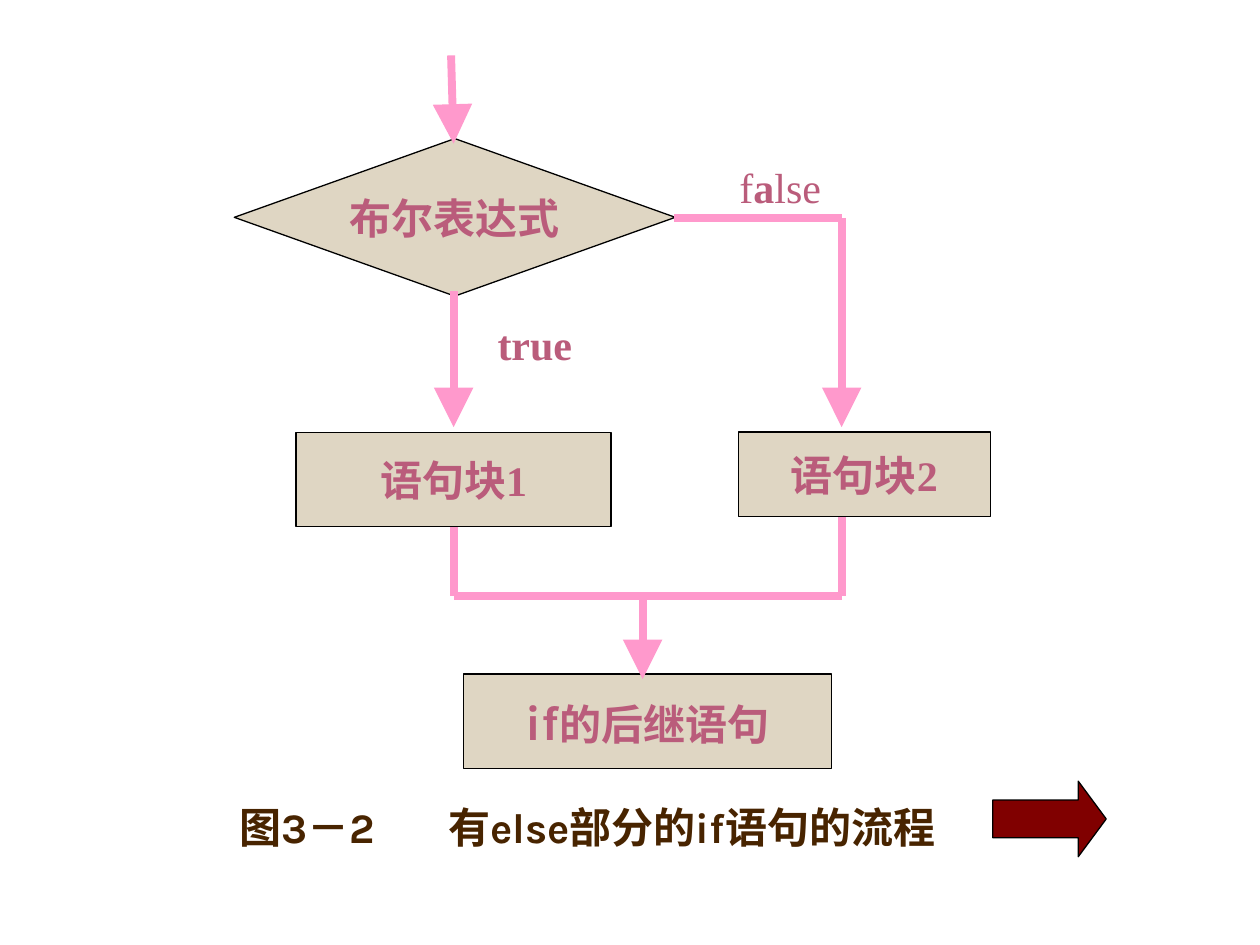
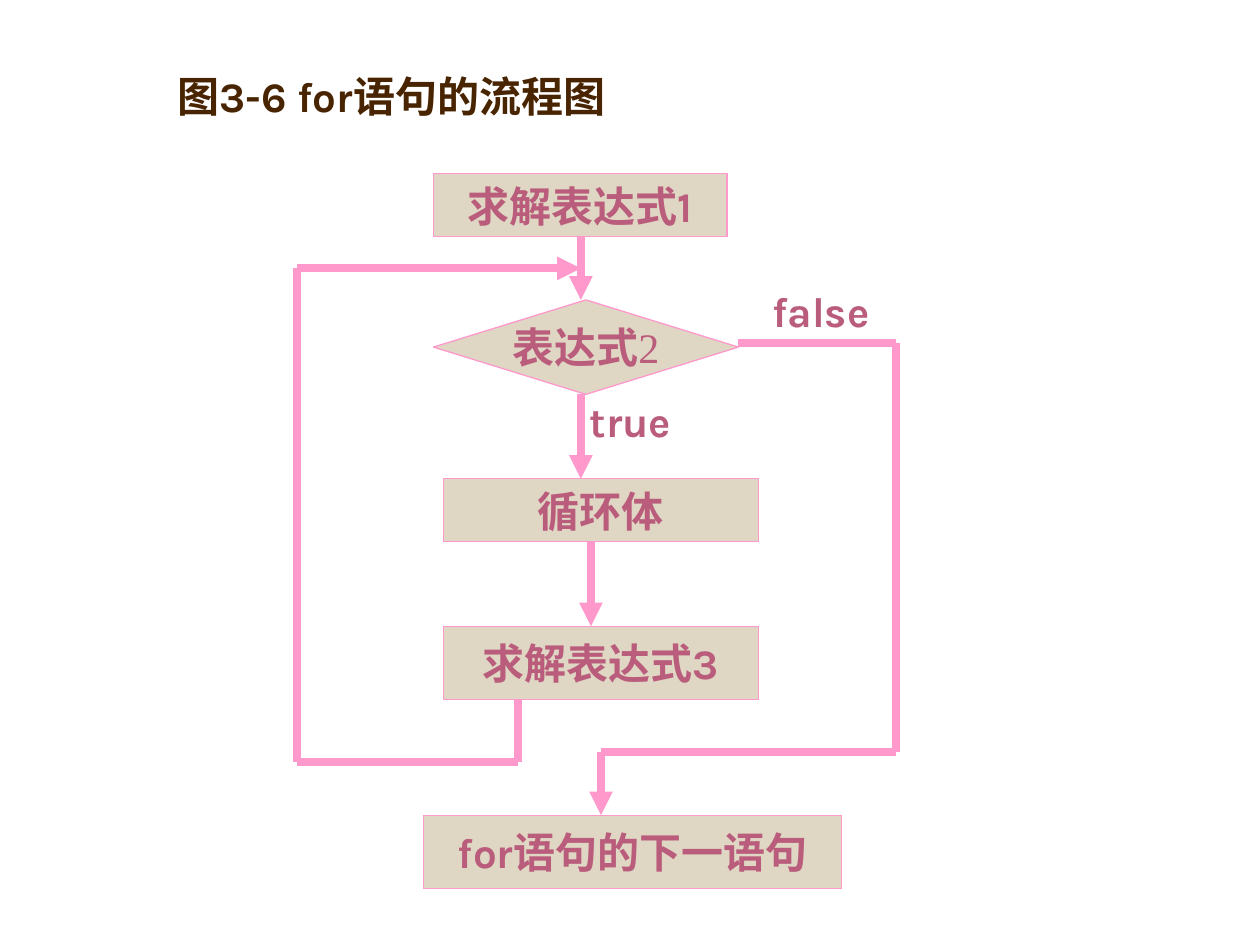
from dataclasses import dataclass
from itertools import pairwise

from lxml import etree
from pptx import Presentation
from pptx.dml.color import RGBColor
from pptx.enum.shapes import MSO_CONNECTOR, MSO_SHAPE
from pptx.enum.text import MSO_ANCHOR, MSO_AUTO_SIZE, PP_ALIGN
from pptx.oxml.ns import qn
from pptx.util import Inches, Pt

BEIGE = RGBColor(0xDF, 0xD6, 0xC3)
PINK = RGBColor(0xFF, 0x99, 0xCC)
ROSE = RGBColor(0xBA, 0x5C, 0x7B)
BROWN = RGBColor(0x48, 0x24, 0x00)
MAROON = RGBColor(0x80, 0x00, 0x00)
BLACK = RGBColor(0x00, 0x00, 0x00)

SANS = "Karla"
SERIF = "Times New Roman"
BOX = MSO_SHAPE.RECTANGLE
DECISION = MSO_SHAPE.FLOWCHART_DECISION


@dataclass
class Span:
    text: str
    font: str = SANS
    size: int = 24
    bold: bool = True


def style_font(font, span, color):
    font.name, font.size, font.bold = span.font, Pt(span.size), span.bold
    font.color.rgb = color


def write(p, spans, color):
    for span in spans:
        r = p.add_run()
        r.text = span.text
        if len(spans) > 1:
            style_font(r.font, span, color)
    if len(spans) == 1:
        style_font(p.font, spans[0], color)


def add_filled(slide, kind, box, fill, border):
    sp = slide.shapes.add_shape(kind, *map(Inches, box))
    sp.shadow.inherit = False
    sp.fill.solid()
    sp.fill.fore_color.rgb = fill
    sp.line.color.rgb = border
    sp.line.width = Pt(0.75)
    return sp


def add_title(slide, box, text, tab=None):
    tf = slide.shapes.add_textbox(*map(Inches, box)).text_frame
    tf.word_wrap = True
    tf.vertical_anchor = MSO_ANCHOR.BOTTOM
    p = tf.paragraphs[0]
    if tab:
        tabs = etree.SubElement(p._p.get_or_add_pPr(), qn("a:tabLst"))
        etree.SubElement(tabs, qn("a:tab"), pos=str(Inches(tab)), algn="l")
    write(p, [Span(text)], BROWN)


@dataclass
class Flowchart:
    """Draws flowchart parts at positions relative to its top left corner."""
    slide: object
    left: float
    top: float
    border: RGBColor
    head: str

    def place(self, x, y):
        return self.left + x, self.top + y

    def node(self, kind, x, y, w, h, *spans):
        box = (*self.place(x, y), w, h)
        tf = add_filled(self.slide, kind, box, BEIGE, self.border).text_frame
        tf.word_wrap = False
        tf.vertical_anchor = MSO_ANCHOR.MIDDLE
        p = tf.paragraphs[0]
        p.alignment = PP_ALIGN.CENTER
        write(p, spans, ROSE)

    def label(self, x, y, w, *spans):
        box = (*self.place(x, y), w, 0.5)
        tf = self.slide.shapes.add_textbox(*map(Inches, box)).text_frame
        tf.word_wrap = False
        tf.auto_size = MSO_AUTO_SIZE.SHAPE_TO_FIT_TEXT
        write(tf.paragraphs[0], spans, ROSE)

    def route(self, *points, arrow=True):
        """Joins the points with straight lines, the last one with an arrowhead."""
        for start, end in pairwise(points):
            ends = (*self.place(*start), *self.place(*end))
            line = self.slide.shapes.add_connector(
                MSO_CONNECTOR.STRAIGHT, *map(Inches, ends))
            line.line.color.rgb = PINK
            line.line.width = Pt(4.5)
            etree.SubElement(line._element.spPr, qn("a:effectLst"))
        if arrow:
            etree.SubElement(line.line._get_or_add_ln(), qn("a:tailEnd"),
                             type="triangle", w=self.head, len=self.head)


def if_else_slide(slide):
    chart = Flowchart(slide, 1.86, 0.44, BLACK, "lg")
    true_x, false_x, next_x = 1.74, 4.82, 3.24
    branch_y, block_y, join_y = 1.29, 2.99, 4.29

    chart.node(DECISION, 0, 0.66, 3.5, 1.25, Span("布尔表达式", SERIF))
    chart.node(BOX, 1.82, 4.91, 2.92, 0.75,
               Span("if", size=28), Span("的后继语句", SERIF))
    chart.route((1.72, 0), (true_x, 0.7))
    chart.route((true_x, 1.87), (true_x, block_y - 0.04))
    chart.route((3.49, branch_y), (false_x, branch_y), (false_x, block_y - 0.04))
    chart.route((true_x, 3.7), (true_x, join_y), (false_x, join_y),
                (false_x, 3.62), arrow=False)
    chart.route((next_x, join_y), (next_x, 4.95))
    chart.label(3.91, 0.79, 0.85, Span("f", SERIF, bold=False),
                Span("a", SERIF), Span("lse", SERIF, bold=False))
    chart.label(1.99, 2.04, 0.79, Span("true", SERIF))
    chart.node(BOX, 0.49, block_y, 2.5, 0.75, Span("语句块1", SERIF))
    chart.node(BOX, 4, block_y, 2, 0.67, Span("语句块2", SERIF))

    add_title(slide, (1.8, 6.31, 6.42, 0.5),
              "图3－2\t有else部分的if语句的流程", tab=1.66)
    arrow = add_filled(slide, MSO_SHAPE.RIGHT_ARROW, (7.88, 6.2, 0.9, 0.6),
                       MAROON, BLACK)
    arrow.adjustments[1] = 0.37


def for_slide(slide):
    chart = Flowchart(slide, 2.36, 1.38, PINK, "med")
    test_x, body_x, exit_x, next_x, loop_x = 2.25, 2.33, 4.75, 2.41, 1.75
    test_y, exit_y, back_y, loop_y = 1.34, 4.59, 4.67, 0.75

    chart.node(BOX, 1.08, 0, 2.33, 0.5, Span("求解表达式1"))
    chart.node(DECISION, 1.08, 1, 2.42, 0.75,
               Span("表达式", SERIF), Span("2", SERIF, bold=False))
    chart.node(BOX, 1.16, 2.42, 2.5, 0.5, Span("循环体", SERIF))
    chart.node(BOX, 1.16, 3.59, 2.5, 0.58, Span("求解表达式3"))
    chart.node(BOX, 1, 5.09, 3.32, 0.58, Span("for语句的下一语句"))
    for x, y1, y2 in ((test_x, 0.5, 1), (test_x, 1.75, 2.42), (body_x, 2.92, 3.59)):
        chart.route((x, y1), (x, y2))
    chart.route((3.5, test_y), (exit_x, test_y), (exit_x, exit_y),
                (next_x, exit_y), (next_x, 5.09))
    chart.route((loop_x, 4.17), (loop_x, back_y), (0, back_y),
                (0, loop_y), (test_x, loop_y))
    chart.label(3.67, 0.84, 0.99, Span("false"))
    chart.label(2.22, 1.71, 0.91, Span("true"))

    add_title(slide, (1.31, 0.51, 5.33, 0.5), "图3-6 for语句的流程图")


def main():
    prs = Presentation()
    prs.slide_width, prs.slide_height = Inches(10), Inches(7.5)
    for build in (if_else_slide, for_slide):
        build(prs.slides.add_slide(prs.slide_layouts[6]))
    prs.save("out.pptx")


if __name__ == "__main__":
    main()
